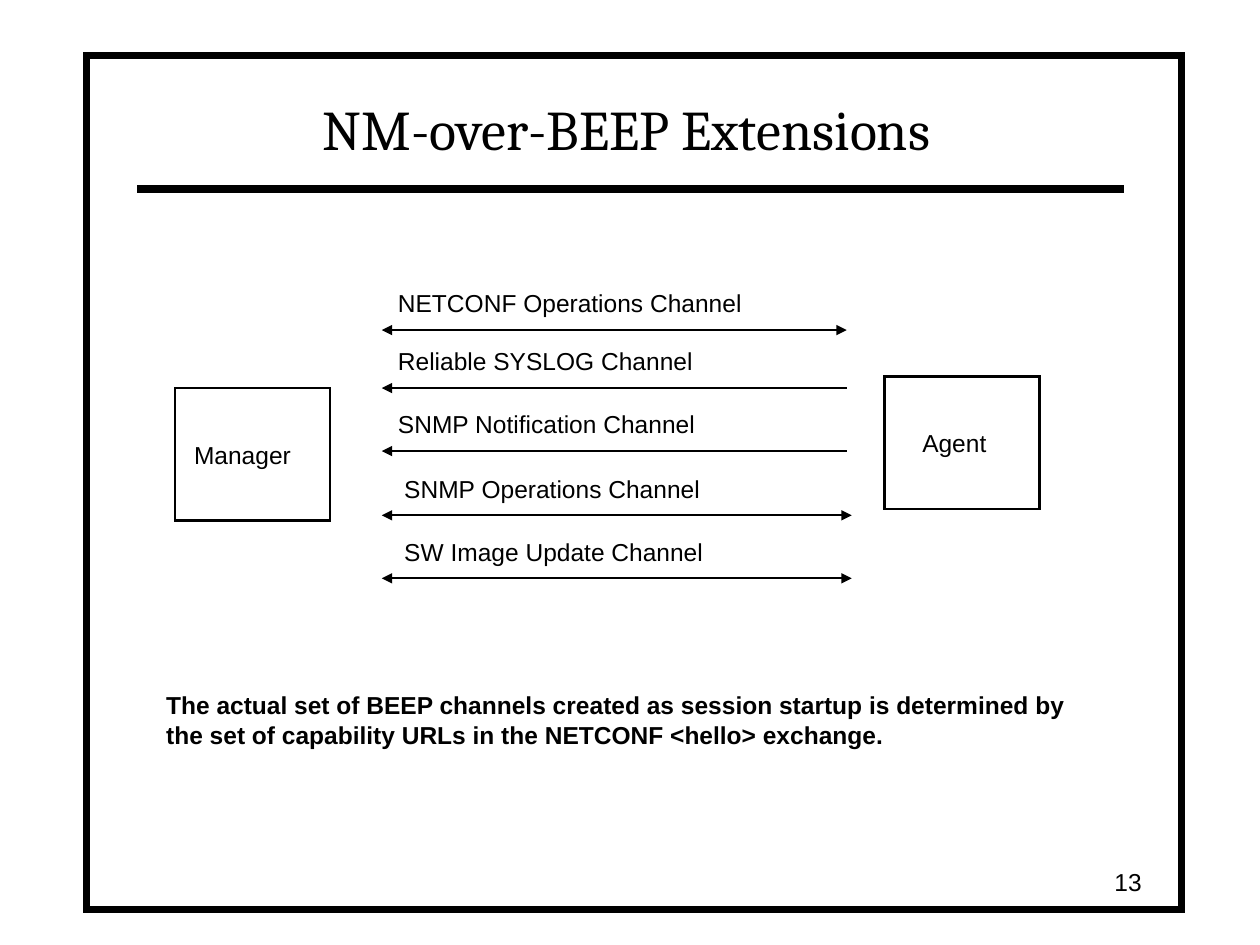
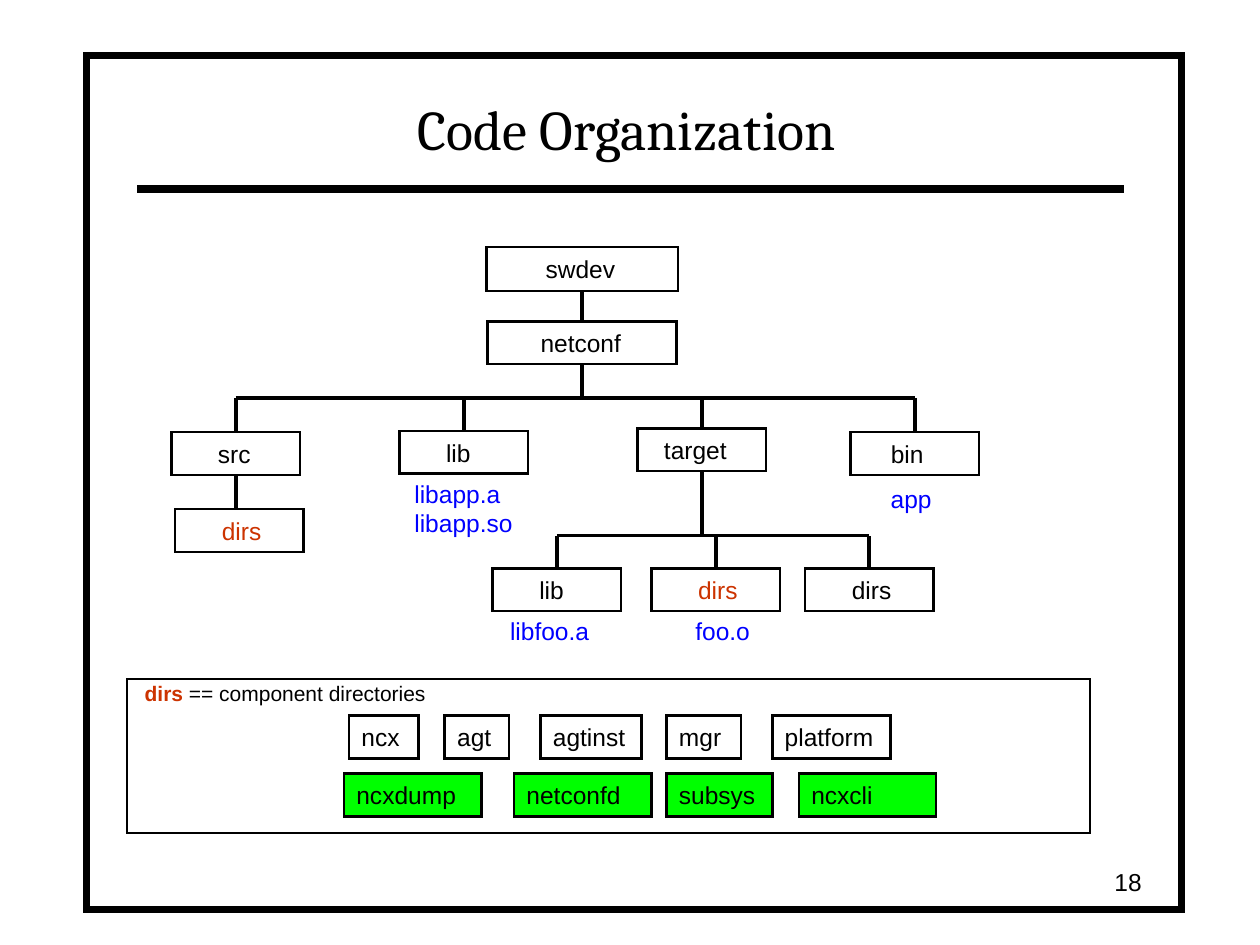
from lxml.etree import SubElement
from pptx import Presentation
from pptx.dml.color import RGBColor
from pptx.enum.shapes import MSO_CONNECTOR, MSO_SHAPE
from pptx.enum.text import MSO_ANCHOR, MSO_AUTO_SIZE, PP_ALIGN
from pptx.oxml.ns import qn
from pptx.util import Inches, Pt

BLACK, WHITE, RED, BLUE, GREEN = "000000", "FFFFFF", "CC3300", "0000FF", "00FF00"
BODY_FONT, TITLE_FONT = "Arial", "Cambria"
TOP, BOTTOM = 0, 2

PEERS = [
    ("Manager", 1.39, 3.08, 0.05),
    ("Agent", 7.02, 2.99, 0.2),
]
CHANNELS = [
    ("NETCONF Operations Channel", 2.62, 3.06, 2.96, 6.72, True),
    ("Reliable SYSLOG Channel", 3.08, 3.06, 2.57, 6.72, False),
    ("SNMP Notification Channel", 3.58, 3.06, 2.59, 6.72, False),
    ("SNMP Operations Channel", 4.09, 3.11, 2.58, 6.76, True),
    ("SW Image Update Channel", 4.59, 3.11, 2.62, 6.76, True),
]
CHANNEL_LEFT, LABEL_RISE = 3.03, 0.38
CHANNEL_NOTE = (
    "The actual set of BEEP channels created as session startup is determined by "
    "the set of capability URLs in the NETCONF <hello> exchange."
)

FOLDER_WIDTH, FOLDER_HEIGHT = 1.02, 0.34
ROOTS = [("swdev", 3.86, 1.96, 1.52, 0.35, 0.37), ("netconf", 3.87, 2.55, 1.5, 0.34, 0.32)]
NETCONF_FOLDERS = [
    ("src", 1.36, 3.43, 0.27, BLACK),
    ("lib", 3.17, 3.42, 0.27, BLACK),
    ("target", 5.06, 3.4, 0.11, BLACK),
    ("bin", 6.75, 3.43, 0.22, BLACK),
]
SRC_DIRS = ("dirs", 1.39, 4.04, 0.27, RED)
TARGET_FOLDERS = [
    ("lib", 3.91, 4.51, 0.27, BLACK),
    ("dirs", 5.17, 4.51, 0.27, RED),
    ("dirs", 6.39, 4.51, 0.27, BLACK),
]
NETCONF_BUS, TARGET_BUS = 3.16, 4.25
FILES = [
    (["libapp.a", "libapp.so"], 3.19, 3.75, 1.02, 0.57),
    (["app"], 6.97, 3.79, 0.58, 0.34),
    (["libfoo.a"], 3.95, 4.84, 0.87, 0.34),
    (["foo.o"], 5.42, 4.84, 0.69, 0.34),
]
COMPONENT_ROWS = [
    (5.68, None, [("ncx", 2.77, 0.55), ("agt", 3.53, 0.51), ("agtinst", 4.29, 0.8),
                  ("mgr", 5.29, 0.59), ("platform", 6.13, 0.94)]),
    (6.14, GREEN, [("ncxdump", 2.73, 1.09), ("netconfd", 4.08, 1.09),
                   ("subsys", 5.29, 0.84), ("ncxcli", 6.34, 1.09)]),
]


def color(hex_code):
    return RGBColor.from_string(hex_code)


def write(frame, paragraphs, size=14, font=BODY_FONT, align=PP_ALIGN.LEFT,
          anchor=MSO_ANCHOR.TOP, wrap=True, indent=0):
    frame.word_wrap = wrap
    if not wrap:
        frame.auto_size = MSO_AUTO_SIZE.SHAPE_TO_FIT_TEXT
    frame.vertical_anchor = anchor
    frame.margin_left = Inches(0.1 + indent)
    for index, runs in enumerate(paragraphs):
        paragraph = frame.add_paragraph() if index else frame.paragraphs[0]
        paragraph.alignment = align
        for words, ink, bold in runs:
            run = paragraph.add_run()
            run.text = words
            run.font.size, run.font.name, run.font.bold = Pt(size), font, bold
            run.font.color.rgb = color(ink)


def add_text(slide, place, paragraphs, **style):
    holder = slide.shapes.add_textbox(*map(Inches, place))
    write(holder.text_frame, paragraphs, **style)


def add_box(slide, place, label=None, ink=BLACK, fill=None, weight=1.5, indent=0):
    box = slide.shapes.add_shape(MSO_SHAPE.RECTANGLE, *map(Inches, place))
    box.shadow.inherit = False
    if fill:
        box.fill.solid()
        box.fill.fore_color.rgb = color(fill)
    else:
        box.fill.background()
    box.line.color.rgb = color(BLACK)
    box.line.width = Pt(weight)
    SubElement(box.line._get_or_add_ln(), qn("a:miter"), lim="800000")
    if label:
        write(box.text_frame, [[(label, ink, False)]], anchor=MSO_ANCHOR.MIDDLE, indent=indent)
    return box


def add_line(slide, start, end, weight=2.25, arrows=()):
    line = slide.shapes.add_connector(MSO_CONNECTOR.STRAIGHT, *map(Inches, start + end))
    line.line.color.rgb = color(BLACK)
    line.line.width = Pt(weight)
    outline = line.line._get_or_add_ln()
    for arrow in arrows:
        SubElement(outline, qn(f"a:{arrow}"), type="triangle")
    SubElement(line._element.spPr, qn("a:effectLst"))
    return line


def middle(box):
    return (box.left + box.width / 2) / Inches(1)


def add_stem(slide, box, side, level):
    edge = (box.top + (box.height if side == BOTTOM else 0)) / Inches(1)
    add_line(slide, (middle(box), edge), (middle(box), level)).begin_connect(box, side)


def add_branch(slide, parent, children, level):
    add_stem(slide, parent, BOTTOM, level)
    add_line(slide, (middle(children[0]), level), (middle(children[-1]), level))
    for child in children:
        add_stem(slide, child, TOP, level)


def add_folder(slide, folder):
    name, left, top, indent, ink = folder
    return add_box(slide, (left, top, FOLDER_WIDTH, FOLDER_HEIGHT), name, ink, indent=indent)


def add_framed_slide(deck, title, number):
    slide = deck.slides.add_slide(deck.slide_layouts[6])
    add_box(slide, (0.69, 0.44, 8.69, 6.78), fill=WHITE, weight=4)
    add_line(slide, (1.09, 1.5), (8.92, 1.5), weight=4.5)
    add_text(slide, (1.08, 0.58, 7.79, 0.75), [[(title, BLACK, False)]], size=32,
             font=TITLE_FONT, align=PP_ALIGN.CENTER, anchor=MSO_ANCHOR.BOTTOM)
    add_text(slide, (7.08, 6.83, 2.08, 0.33), [[(number, BLACK, False)]],
             align=PP_ALIGN.RIGHT, anchor=MSO_ANCHOR.MIDDLE)
    return slide


def build_extensions(deck):
    slide = add_framed_slide(deck, "NM-over-BEEP Extensions", "13")
    for name, left, top, indent in PEERS:
        add_box(slide, (left, top, 1.23, 1.05), name, indent=indent)
    for name, level, label_left, label_width, right, two_way in CHANNELS:
        arrows = ("headEnd", "tailEnd") if two_way else ("headEnd",)
        add_line(slide, (CHANNEL_LEFT, level), (right, level), 1, arrows)
        add_text(slide, (label_left, level - LABEL_RISE, label_width, 0.34),
                 [[(name, BLACK, False)]], wrap=False)
    add_text(slide, (1.22, 5.43, 7.39, 0.57), [[(CHANNEL_NOTE, BLACK, True)]])


def build_organization(deck):
    slide = add_framed_slide(deck, "Code Organization", "18")
    swdev, netconf = [
        add_box(slide, (left, top, width, height), name, indent=indent)
        for name, left, top, width, height, indent in ROOTS
    ]
    trunk = add_line(slide, (4.62, 2.31), (4.62, 2.55))
    trunk.begin_connect(swdev, BOTTOM)
    trunk.end_connect(netconf, TOP)

    folders = [add_folder(slide, folder) for folder in NETCONF_FOLDERS]
    src, _, target, _ = folders
    add_branch(slide, netconf, folders, NETCONF_BUS)
    add_folder(slide, SRC_DIRS)
    add_stem(slide, src, BOTTOM, SRC_DIRS[2])
    add_branch(slide, target, [add_folder(slide, folder) for folder in TARGET_FOLDERS],
               TARGET_BUS)
    for names, *place in FILES:
        add_text(slide, place, [[(name, BLUE, False)] for name in names], wrap=False)

    add_box(slide, (1.01, 5.39, 7.64, 1.22), fill=WHITE, weight=1)
    add_text(slide, (1.05, 5.35, 2.46, 0.3),
             [[("dirs", RED, True), (" == component directories", BLACK, False)]],
             size=12, wrap=False)
    for top, fill, components in COMPONENT_ROWS:
        for name, left, width in components:
            add_box(slide, (left, top, width, FOLDER_HEIGHT), name, fill=fill)


def main():
    deck = Presentation()
    deck.slide_width, deck.slide_height = Inches(10), Inches(7.5)
    build_extensions(deck)
    build_organization(deck)
    deck.save("out.pptx")


if __name__ == "__main__":
    main()
